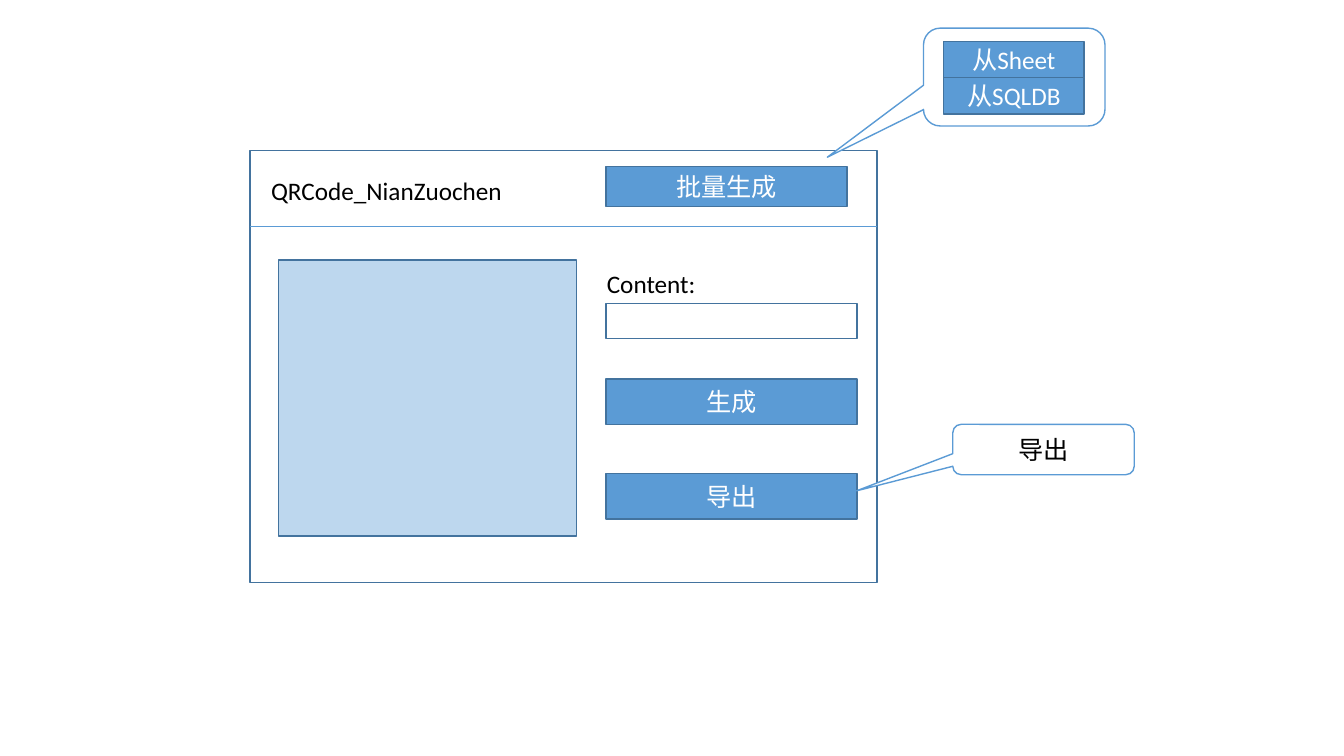
from lxml import etree
from pptx import Presentation
from pptx.dml.color import RGBColor
from pptx.enum import shapes, text
from pptx.oxml.ns import qn
from pptx.util import Inches, Pt

BLUE = RGBColor(0x5B, 0x9B, 0xD5)
EDGE = RGBColor(0x43, 0x73, 0x9E)
PALE = RGBColor(0xBD, 0xD7, 0xEE)
WHITE = RGBColor(0xFF, 0xFF, 0xFF)
BLACK = RGBColor(0, 0, 0)
CELL = Inches(0.1)
RECT = shapes.MSO_SHAPE.RECTANGLE
BUBBLE = shapes.MSO_SHAPE.ROUNDED_RECTANGULAR_CALLOUT


def place(box, x, y, w, h):
    return box[0] + x, box[1] + y, w, h


def scale(box):
    return [round(n * CELL) for n in box]


def write(shape, words, color):
    line = shape.text_frame.paragraphs[0]
    line.text = words
    line.font.size = Pt(18)
    line.font.name = "Calibri"
    line.font.color.rgb = color
    return line


def panel(slide, box, fill=None, words="", kind=RECT, edge=EDGE, color=WHITE):
    shape = slide.shapes.add_shape(kind, *scale(box))
    shape.shadow.inherit = False
    if fill is None:
        shape.fill.background()
    else:
        shape.fill.solid()
        shape.fill.fore_color.rgb = fill
    shape.line.color.rgb = edge
    shape.line.width = Pt(1)
    if words:
        shape.text_frame.vertical_anchor = text.MSO_ANCHOR.MIDDLE
        write(shape, words, color).alignment = text.PP_ALIGN.CENTER
    return shape


def label(slide, box, words):
    shape = slide.shapes.add_textbox(*scale(box))
    shape.text_frame.word_wrap = False
    write(shape, words, BLACK)


def bubble(slide, box, words=""):
    shape = panel(slide, box, WHITE, words, BUBBLE, BLUE, BLACK)
    for i, value in enumerate((-1.03, 0.82, 0.17)):
        shape.adjustments[i] = value


def header(slide, box):
    x, y, w, h = box
    label(slide, place(box, 1.1, 2, 26.3, 4), "QRCode_NianZuochen")
    panel(slide, place(box, 35.3, 1.6, 23.9, 4), BLUE, "批量生成")
    ends = scale((x, y + h, x + w, y + h))
    rule = slide.shapes.add_connector(shapes.MSO_CONNECTOR.STRAIGHT, *ends)
    rule.line.color.rgb = BLUE
    rule.line.width = Pt(0.5)
    etree.SubElement(rule._element.spPr, qn("a:effectLst"))


def form(slide, box):
    wide = box[2]
    label(slide, place(box, -0.9, 0, 10.8, 4), "Content:")
    panel(slide, place(box, 0, 4, wide, 3.5))
    for i, words in enumerate(("生成", "导出")):
        panel(slide, place(box, 0, 11.5 + 9.4 * i, wide, 4.5), BLUE, words)


def window(slide, box):
    panel(slide, box)
    header(slide, place(box, 0, 0, box[2], 7.6))
    panel(slide, place(box, 2.8, 10.9, 29.6, 27.4), PALE)
    form(slide, place(box, 35.3, 11.2, 24.9, 25.4))


def menu(slide, box):
    bubble(slide, box)
    for i, words in enumerate(("从Sheet", "从SQLDB")):
        panel(slide, place(box, 2, 1.3 + 3.6 * i, 13.9, 3.6), BLUE, words)


deck = Presentation()
deck.slide_width = Inches(13.33)
deck.slide_height = Inches(7.5)
page = deck.slides.add_slide(deck.slide_layouts[6])
window(page, (24.8, 14.9, 62.2, 42.9))
menu(page, (91.6, 2.8, 18, 9.7))
bubble(page, (94.5, 42.1, 18, 5), "导出")
deck.save("out.pptx")
